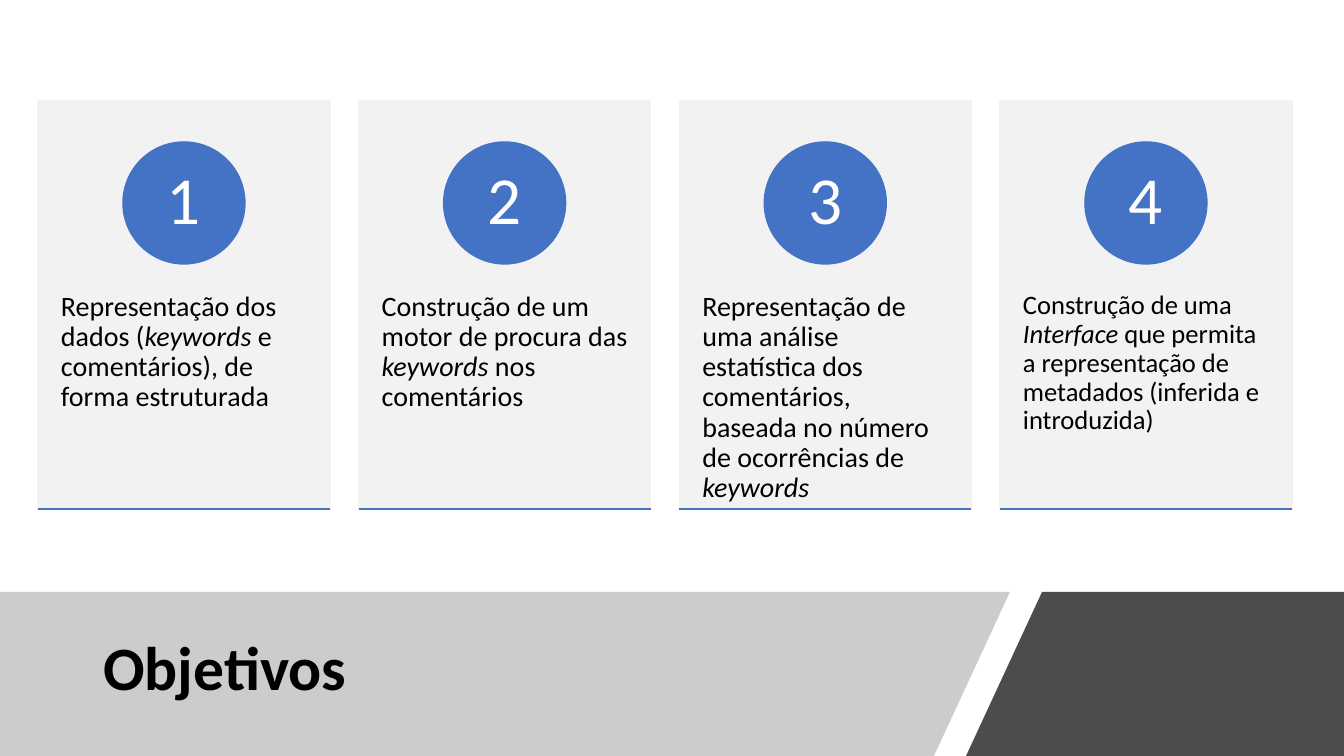
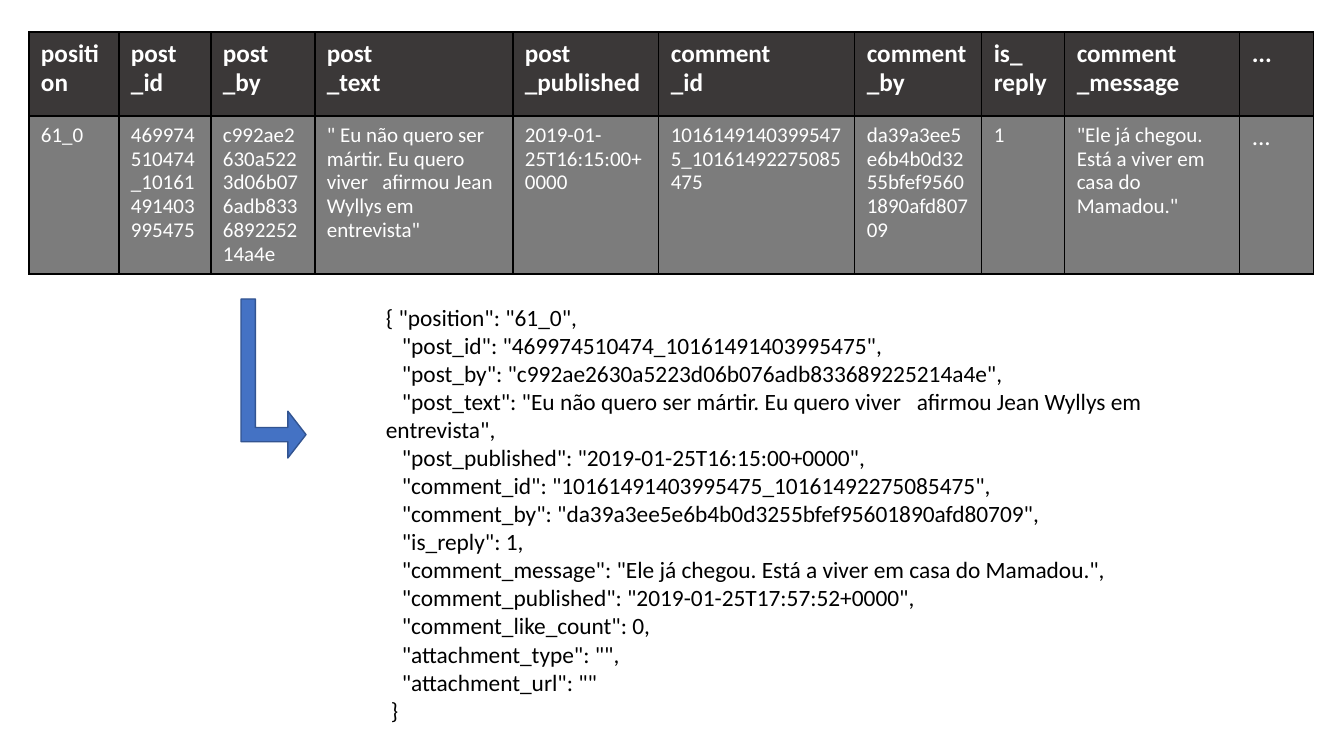
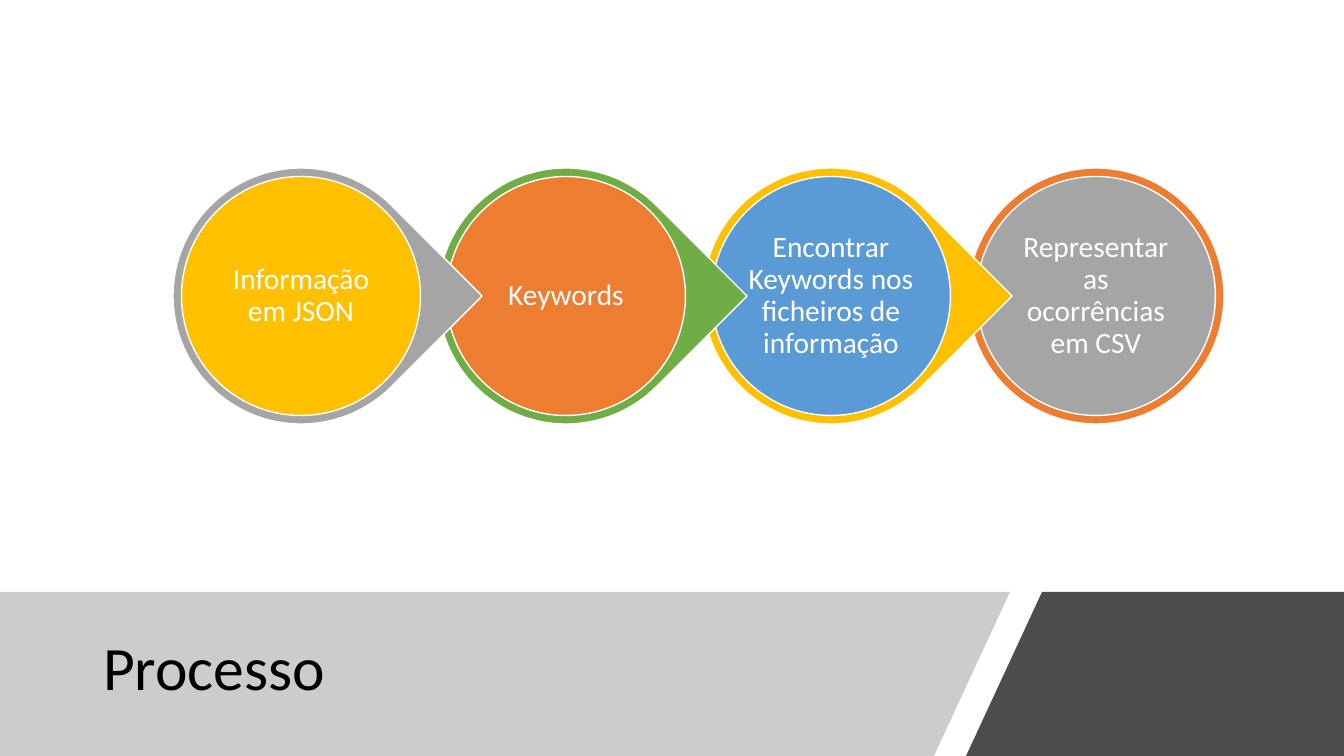
from dataclasses import dataclass

from lxml.etree import SubElement
from pptx import Presentation
from pptx.dml.color import RGBColor
from pptx.enum.shapes import MSO_CONNECTOR, MSO_SHAPE
from pptx.enum.text import MSO_ANCHOR, MSO_AUTO_SIZE, PP_ALIGN
from pptx.oxml.ns import qn
from pptx.util import Pt

PX = 914400 / 100.8
WIDE, HIGH = 1344, 756


@dataclass(frozen=True)
class Theme:
    font: str = "Calibri"
    black: str = "000000"
    white: str = "FFFFFF"
    mid: str = "808080"
    card: str = "F2F2F2"
    blue: str = "4472C4"
    edge: str = "325491"
    head: str = "3B3838"
    body: str = "7C7C7C"
    sky: str = "5B9BD5"
    gold: str = "FFC000"
    orange: str = "ED7D31"
    green: str = "70AD47"
    gray: str = "A5A5A5"
    title: float = 44
    number: float = 48
    step: float = 21
    code: float = 16.7
    th: float = 18
    td: float = 15


T = Theme()

# Outline in px, colour, opacity in percent
BANDS = [
    ([(0, 592), (1010, 592), (934, HIGH), (0, HIGH)], T.mid, 40),
    ([(1042, 592), (WIDE, 592), (WIDE, HIGH), (966, HIGH)], T.black, 70),
]

# Text with *italic* marks, type size
GOALS = [
    ("Representação dos dados (*keywords *e comentários), de forma estruturada", 20),
    ("Construção de um motor de procura das *keywords* nos comentários", 20),
    ("Representação de uma análise estatística dos comentários, "
     "baseada no número de ocorrências de *keywords*", 20),
    ("Construção de uma *Interface *que permita a representação de "
     "metadados (inferida e introduzida)", 19),
]

# Column width in px, heading, value
COLUMNS = [
    (90, "position", "61_0"),
    (92, "post\n_id", "469974510474_10161491403995475"),
    (104, "post\n_by", "c992ae2630a5223d06b076adb833689225214a4e"),
    (198, "post\n_text",
     '" Eu não quero ser mártir. Eu quero viver   afirmou Jean Wyllys em entrevista"'),
    (146, "post\n_published", "2019-01-25T16:15:00+0000"),
    (196, "comment\n_id", "10161491403995475_10161492275085475"),
    (127, "comment_by", "da39a3ee5e6b4b0d3255bfef95601890afd80709"),
    (83, "is_\nreply", "1"),
    (175, "comment\n_message", '"Ele já chegou. Está a viver em casa do Mamadou."'),
    (74, "...", "..."),
]

# First-line indent in px, text
CODE = [(0, '{ "position": "61_0",')] + [(16, line) for line in (
    '"post_id": "469974510474_10161491403995475",',
    '"post_by": "c992ae2630a5223d06b076adb833689225214a4e",',
    '"post_text": "Eu não quero ser mártir. Eu quero viver   afirmou Jean Wyllys em entrevista",',
    '"post_published": "2019-01-25T16:15:00+0000",',
    '"comment_id": "10161491403995475_10161492275085475",',
    '"comment_by": "da39a3ee5e6b4b0d3255bfef95601890afd80709",',
    '"is_reply": 1,',
    '"comment_message": "Ele já chegou. Está a viver em casa do Mamadou.",',
    '"comment_published": "2019-01-25T17:57:52+0000",',
    '"comment_like_count": 0,',
    '"attachment_type": "",',
    '"attachment_url": ""',
)] + [(5, "}")]

# Text, disc colour, rim colour
STEPS = [
    ("Informação em JSON", T.gold, T.gray),
    ("Keywords", T.orange, T.green),
    ("Encontrar Keywords nos ficheiros de informação", T.sky, T.gold),
    ("Representar as ocorrências em CSV", T.gray, T.orange),
]


def px(*sizes):
    return [round(size * PX) for size in sizes]


def rgb(color):
    return RGBColor.from_string(color)


def style(par, size, color, bold=False, align=PP_ALIGN.LEFT, space=0.9):
    font = par.font
    font.name, font.size, font.bold = T.font, Pt(size), bold
    font.color.rgb = rgb(color)
    par.alignment, par.line_spacing = align, space


def inset(box, left, top, right, bottom):
    """Set the margins in px of a text frame or a table cell."""
    (box.margin_left, box.margin_top,
     box.margin_right, box.margin_bottom) = px(left, top, right, bottom)


def paint(shape, fill, line=None):
    shape.shadow.inherit = False
    shape.fill.solid()
    shape.fill.fore_color.rgb = rgb(fill)
    if line:
        shape.line.color.rgb = rgb(line)
        shape.line.width = Pt(1)
    else:
        shape.line.fill.background()


def draw(slide, kind, at, fill, line):
    shape = slide.shapes.add_shape(kind, *px(*at))
    paint(shape, fill, line)
    return shape


def disc(slide, x, y, size, fill, line, kind=MSO_SHAPE.OVAL):
    """Draw a round shape about the centre x, y."""
    return draw(slide, kind, (x - size / 2, y - size / 2, size, size), fill, line)


def label(shape, text, size):
    """Write white centred text in a disc."""
    frame = shape.text_frame
    frame.word_wrap = True
    frame.vertical_anchor = MSO_ANCHOR.MIDDLE
    inset(frame, 1, 1, 1, 1)
    frame.text = text
    style(frame.paragraphs[0], size, T.white, align=PP_ALIGN.CENTER)


def titled(deck, text, bold):
    """Add a slide with the two bottom bands and its title on them."""
    slide = deck.slides.add_slide(deck.slide_layouts[5])
    for (start, *rest), color, alpha in BANDS:
        path = slide.shapes.build_freeform(*start, scale=PX)
        path.add_line_segments(rest, close=True)
        band = path.convert_to_shape()
        paint(band, color)
        tint = band._element.spPr.find(".//" + qn("a:srgbClr"))
        SubElement(tint, qn("a:alpha"), val=str(alpha * 1000))
    title = slide.shapes.title
    title.left, title.top, title.width, title.height = px(93, 610, 851, 121)
    frame = title.text_frame
    frame.text = text
    frame.auto_size = MSO_AUTO_SIZE.NONE
    frame.vertical_anchor = MSO_ANCHOR.MIDDLE
    style(frame.paragraphs[0], T.title, T.black, bold)
    slide.shapes._spTree.append(title._element)
    return slide


def goals(deck):
    slide = titled(deck, "Objetivos", True)
    left, right, top, wide, high = 38, 1292, 101, 292, 408
    pitch = (right - left - wide) / (len(GOALS) - 1)
    for i, (text, size) in enumerate(GOALS):
        x, base = left + i * pitch, top + high
        card = draw(slide, MSO_SHAPE.RECTANGLE, (x, top, wide, high), T.card, T.card)
        frame = card.text_frame
        frame.word_wrap = True
        frame.vertical_anchor = MSO_ANCHOR.TOP
        inset(frame, 23, 191, 23, 0)
        par = frame.paragraphs[0]
        style(par, size, T.black)
        for j, part in enumerate(text.split("*")):
            if part:
                run = par.add_run()
                run.text = part
                run.font.italic = j % 2 == 1
        spot = disc(slide, x + wide / 2, 203, 122, T.blue, T.blue)
        label(spot, str(i + 1), T.number)
        rule = slide.shapes.add_connector(
            MSO_CONNECTOR.STRAIGHT, *px(x, base, x + wide, base))
        rule.line.color.rgb = rgb(T.blue)
        rule.line.width = Pt(1)
        SubElement(rule._element.spPr, qn("a:effectLst"))


def border(cell):
    props = cell._tc.get_or_add_tcPr()
    for side in ("lnL", "lnR", "lnT", "lnB"):
        line = SubElement(props, qn("a:" + side), w=str(Pt(1)))
        fill = SubElement(line, qn("a:solidFill"))
        SubElement(fill, qn("a:srgbClr"), val=T.black)


def grid(slide):
    wides, *rows = zip(*COLUMNS)
    highs = 84, 158
    table = slide.shapes.add_table(
        len(rows), len(wides), *px(29, 32, sum(wides), sum(highs))).table
    table.horz_banding = False
    for col, wide in zip(table.columns, px(*wides)):
        col.width = wide
    for row, high in zip(table.rows, px(*highs)):
        row.height = high
    for r, texts in enumerate(rows):
        for c, text in enumerate(texts):
            cell = table.cell(r, c)
            border(cell)
            cell.fill.solid()
            cell.fill.fore_color.rgb = rgb(T.body if r else T.head)
            inset(cell, 12, 7 if r else 8, 12, 6)
            cell.text = text
            size = T.td if r and text != "..." else T.th
            for par in cell.text_frame.paragraphs:
                style(par, size, T.white, bold=r == 0, space=0.93)


def record(deck):
    slide = deck.slides.add_slide(deck.slide_layouts[6])
    grid(slide)
    frame = slide.shapes.add_textbox(*px(376, 298, 866, 443)).text_frame
    frame.word_wrap = True
    frame.text = "\n".join(text for _, text in CODE)
    for par, (indent, _) in zip(frame.paragraphs, CODE):
        style(par, T.code, T.black, space=1.0)
        par._p.get_or_add_pPr().set("indent", str(px(indent)[0]))
    arrow = draw(slide, MSO_SHAPE.BENT_UP_ARROW, (194, 346, 159, 65), T.blue, T.edge)
    arrow.rotation = 90
    for i, value in enumerate((0.22, 0.36, 0.28)):
        arrow.adjustments[i] = value


def process(deck):
    slide = titled(deck, "Processo", False)
    first, pitch, y = 301, 265, 296
    last = len(STEPS) - 1
    for i, (text, fill, rim) in reversed(list(enumerate(STEPS))):
        x = first + i * pitch
        kind = MSO_SHAPE.OVAL if i == last else MSO_SHAPE.TEAR
        back = disc(slide, x, y, 256, rim, T.white, kind)
        back.rotation = 0 if i == last else 45
        label(disc(slide, x, y, 239, fill, T.white), text, T.step)


def main():
    deck = Presentation()
    deck.slide_width, deck.slide_height = px(WIDE, HIGH)
    goals(deck)
    record(deck)
    process(deck)
    deck.save("out.pptx")


if __name__ == "__main__":
    main()
